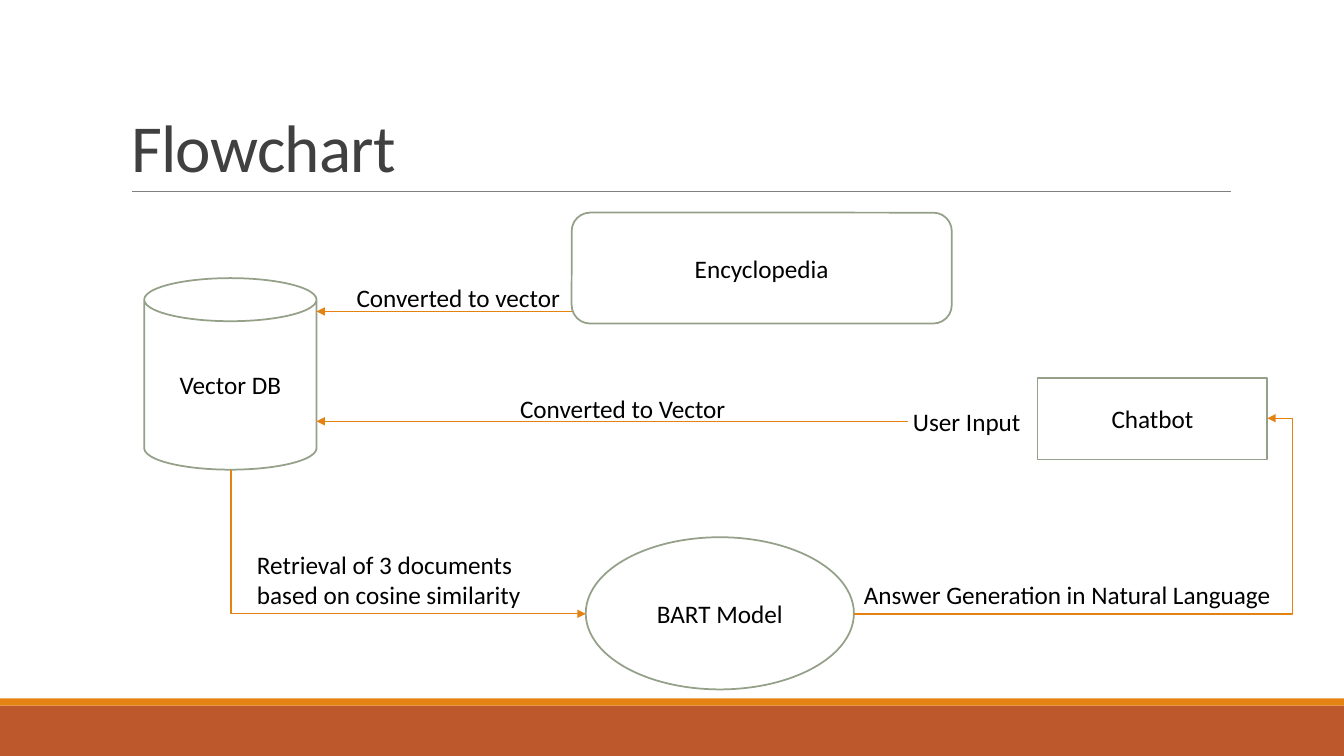
from lxml import etree
from pptx import Presentation
from pptx import util as u
from pptx.dml.color import RGBColor
from pptx.enum import shapes, text
from pptx.oxml.ns import qn

W, H = 13.33, 7.5
INK, ACCENT, OUTLINE = "000000", "E48312", "94A088"
KIND, LINE = shapes.MSO_SHAPE, shapes.MSO_CONNECTOR
ALIGN, ANCHOR = text.PP_ALIGN, text.MSO_ANCHOR


def rgb(color):
    return RGBColor.from_string(color)


def write(sp, words, align, anchor, size=18, color=INK):
    tf = sp.text_frame
    tf.word_wrap = True
    tf.vertical_anchor = anchor
    p = tf.paragraphs[0]
    p.text = words
    p.alignment = align
    p.font.name, p.font.size = "Calibri", u.Pt(size)
    p.font.color.rgb = rgb(color)
    return p


prs = Presentation()
prs.slide_width, prs.slide_height = u.Inches(W), u.Inches(H)
s = prs.slides.add_slide(prs.slide_layouts[5])

# Footer bands
for top, height, color in [(7, 0.5, "BD582C"), (6.93, 0.07, ACCENT)]:
    sp = s.shapes.add_shape(KIND.RECTANGLE, 0, u.Inches(top), prs.slide_width, u.Inches(height))
    sp.shadow.inherit = False
    sp.fill.solid()
    sp.fill.fore_color.rgb = rgb(color)
    sp.line.fill.background()

# Title
title = s.shapes.title
title.left, title.top, title.width, title.height = map(u.Inches, (1.2, 0.31, 11, 1.59))
p = write(title, "Flowchart", ALIGN.LEFT, ANCHOR.BOTTOM, 48, "404040")
p.line_spacing = 0.85
p.runs[0].font._element.set("spc", "-50")

# Flowchart nodes
nodes = [
    (KIND.CAN, "Vector DB", 1.43, 2.76, 1.71, 1.9),
    (KIND.RECTANGLE, "Chatbot", 10.29, 3.75, 2.28, 0.81),
    (KIND.ROUNDED_RECTANGLE, "Encyclopedia", 5.67, 2.11, 3.77, 1.1),
    (KIND.OVAL, "BART Model", 5.81, 5.33, 2.66, 1.51),
]
for kind, words, *box in nodes:
    sp = s.shapes.add_shape(kind, *map(u.Inches, box))
    sp.shadow.inherit = False
    sp.fill.solid()
    sp.fill.fore_color.rgb = rgb("FFFFFF")
    sp.line.color.rgb = rgb(OUTLINE)
    sp.line.width = u.Pt(1.25)
    write(sp, words, ALIGN.CENTER, ANCHOR.MIDDLE)

# Title rule and arrows: kind, ends, colour, width, arrowhead, preset, bend
links = [
    (LINE.STRAIGHT, (1.31, 1.9, 12.21, 1.9), "808080", 0.5, None, "line", None),
    (LINE.STRAIGHT, (9.01, 4.18, 3.14, 4.18), ACCENT, 1, "tailEnd", "line", None),
    (LINE.STRAIGHT, (5.67, 3.09, 3.14, 3.09), ACCENT, 1, "tailEnd", "line", None),
    (LINE.ELBOW, (5.81, 6.09, 2.29, 4.66), ACCENT, 1, "headEnd", "bentConnector2", None),
    (LINE.ELBOW, (8.47, 6.09, 12.57, 4.15), ACCENT, 1, "tailEnd", "bentConnector3", 106100),
]
for kind, ends, color, width, arrow, preset, bend in links:
    link = s.shapes.add_connector(kind, *map(u.Inches, ends))
    link.line.color.rgb = rgb(color)
    link.line.width = u.Pt(width)
    props = link._element.spPr
    geometry = props.find(qn("a:prstGeom"))
    geometry.set("prst", preset)
    if bend:
        guide = etree.SubElement(geometry.find(qn("a:avLst")), qn("a:gd"))
        guide.set("name", "adj1")
        guide.set("fmla", f"val {bend}")
    if arrow:
        etree.SubElement(props.find(qn("a:ln")), qn(f"a:{arrow}")).set("type", "triangle")
    etree.SubElement(props, qn("a:effectLst"))

# Labels
labels = [
    ("User Input", 8.72, 3.98, 1.5, 0.4, ALIGN.RIGHT),
    ("Converted to Vector", 5.06, 3.85, 2.26, 0.4, ALIGN.LEFT),
    ("Converted to vector", 3.42, 2.75, 2.25, 0.4, ALIGN.CENTER),
    ("Retrieval of 3 documents based on cosine similarity", 2.45, 5.4, 3.01, 0.71, ALIGN.LEFT),
    ("Answer Generation in Natural Language", 8.47, 5.7, 4.52, 0.4, ALIGN.LEFT),
]
for words, *box, align in labels:
    write(s.shapes.add_textbox(*map(u.Inches, box)), words, align, ANCHOR.TOP)

prs.save("out.pptx")
